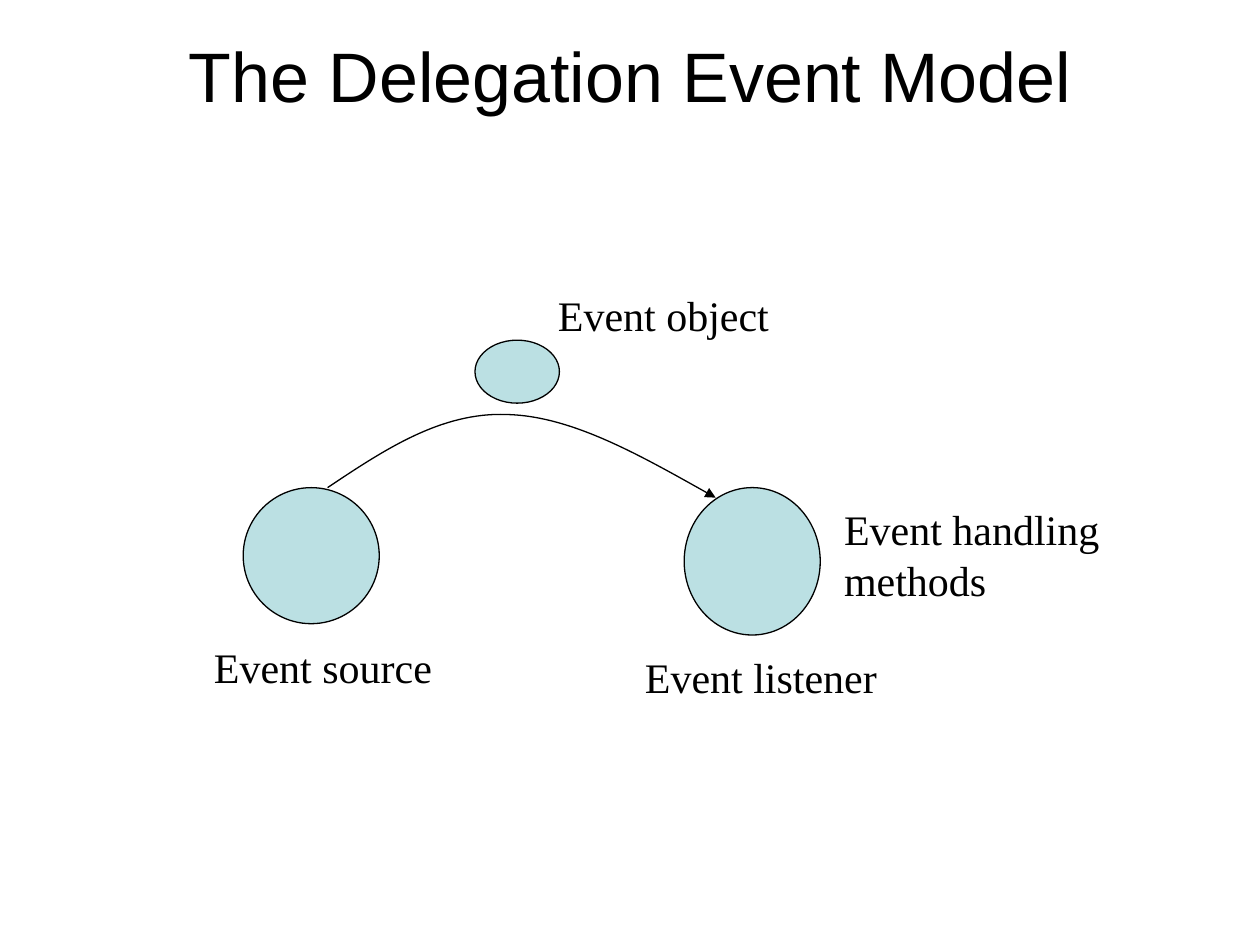
from lxml import etree
from pptx import Presentation
from pptx.dml.color import RGBColor
from pptx.enum import shapes, text
from pptx.oxml.ns import qn
from pptx.util import Inches, Pt

BLACK = RGBColor(0x00, 0x00, 0x00)
TEAL = RGBColor(0xBB, 0xE0, 0xE3)


def set_font(p, name, size):
    p.font.name = name
    p.font.size = Pt(size)
    p.font.color.rgb = BLACK


def add_title(s, title, x, y, w, h):
    sp = s.shapes.title
    sp.left, sp.top, sp.width, sp.height = map(Inches, (x, y, w, h))
    tf = sp.text_frame
    tf.text = title
    tf.margin_top = 0
    tf.vertical_anchor = text.MSO_ANCHOR.TOP
    p = tf.paragraphs[0]
    p.alignment = text.PP_ALIGN.CENTER
    set_font(p, "Arial", 40)


def set_outline(sp):
    sp.shadow.inherit = False
    sp.line.color.rgb = BLACK
    sp.line.width = Pt(0.75)


def add_node(s, x, y, w, h):
    sp = s.shapes.add_shape(shapes.MSO_SHAPE.OVAL, *map(Inches, (x, y, w, h)))
    sp.fill.solid()
    sp.fill.fore_color.rgb = TEAL
    set_outline(sp)


def add_label(s, label, x, y, w, h):
    tf = s.shapes.add_textbox(*map(Inches, (x, y, w, h))).text_frame
    tf.word_wrap = False
    tf.auto_size = text.MSO_AUTO_SIZE.SHAPE_TO_FIT_TEXT
    tf.text = label
    for p in tf.paragraphs:
        set_font(p, "Times New Roman", 24)


def add_curved_arrow(s, start, points):
    fb = s.shapes.build_freeform(*map(Inches, start))
    fb.add_line_segments([tuple(map(Inches, pt)) for pt in points], close=False)
    sp = fb.convert_to_shape()
    sp.fill.background()
    set_outline(sp)
    path = next(sp._element.iter(qn("a:path")))
    segments = path.findall(qn("a:lnTo"))
    for i in range(0, len(segments), 3):
        curve = etree.SubElement(path, qn("a:cubicBezTo"))
        for segment in segments[i:i + 3]:
            curve.append(segment[0])
            path.remove(segment)
    etree.SubElement(sp.line._get_or_add_ln(), qn("a:tailEnd"), type="triangle")


def add_event_flow(s, x, y):
    nodes = [
        (0.33, 1.62, 1.08, 1.08),
        (3.83, 1.62, 1.08, 1.17),
        (2.17, 0.45, 0.67, 0.5),
    ]
    labels = [
        ("Event source", 0, 2.79, 1.93, 0.5),
        ("Event listener", 3.42, 2.87, 2.04, 0.5),
        ("Event object", 2.73, 0, 1.9, 0.5),
        ("Event handling\nmethods", 5, 1.7, 2.31, 0.9),
    ]
    curve = [(1, 1.62), (1.45, 1.32), (1.9, 1.02), (2.42, 1.04),
             (2.93, 1.05), (3.51, 1.38), (4.08, 1.7)]
    for dx, dy, w, h in nodes:
        add_node(s, x + dx, y + dy, w, h)
    start, *points = [(x + dx, y + dy) for dx, dy in curve]
    add_curved_arrow(s, start, points)
    for label, dx, dy, w, h in labels:
        add_label(s, label, x + dx, y + dy, w, h)


def main():
    prs = Presentation()
    prs.slide_width, prs.slide_height = Inches(10), Inches(7.5)
    s = prs.slides.add_slide(prs.slide_layouts[5])
    add_title(s, "The Delegation Event Model", 0.5, 0.26, 9, 1.25)
    add_event_flow(s, 1.6, 2.25)
    prs.save("out.pptx")


if __name__ == "__main__":
    main()
